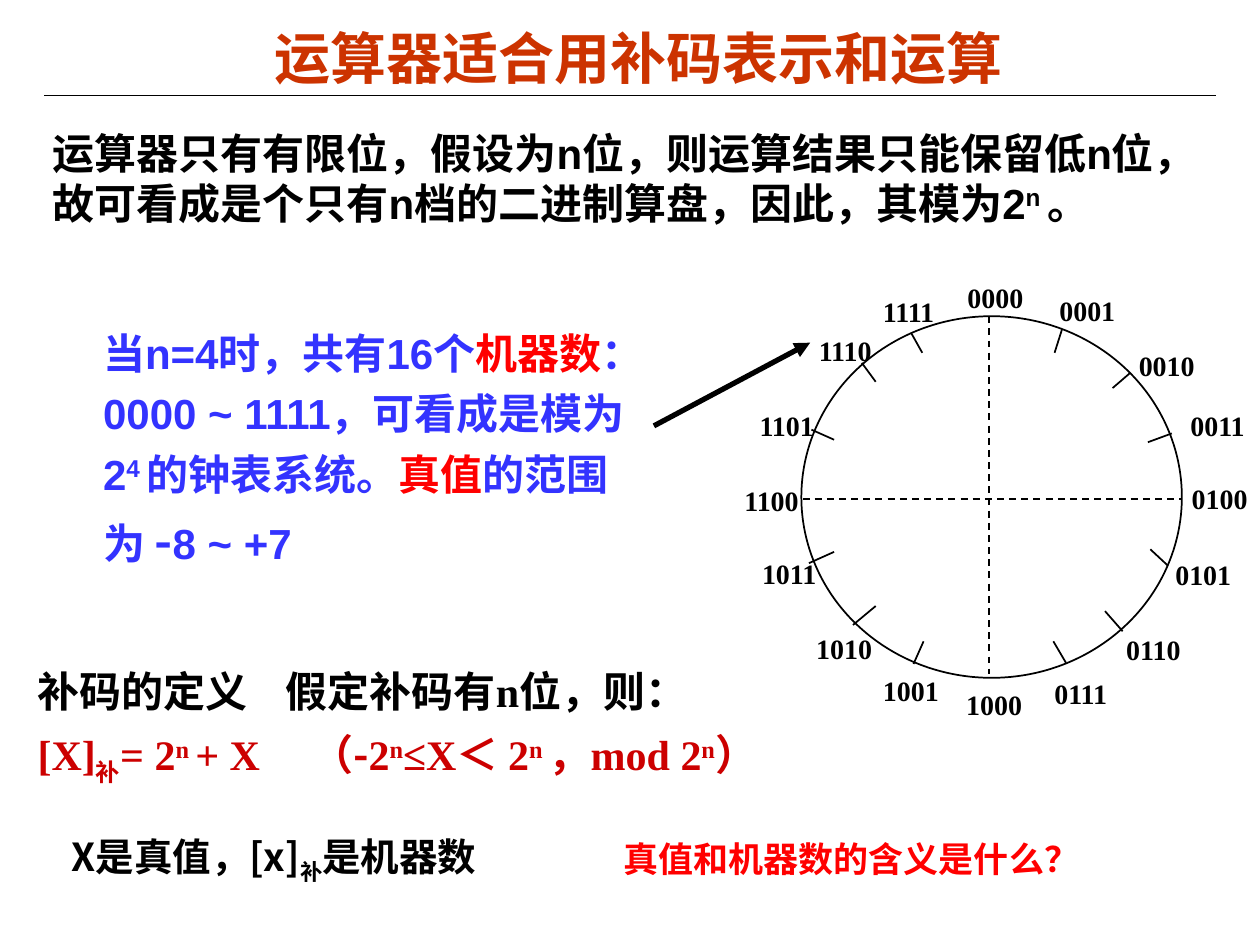
"""Build the slide on two's complement numbers in an arithmetic unit."""
from dataclasses import dataclass
from typing import Optional

from lxml import etree
from pptx import Presentation
from pptx.dml.color import RGBColor
from pptx.enum.dml import MSO_LINE
from pptx.enum.shapes import MSO_CONNECTOR, MSO_SHAPE
from pptx.enum.text import MSO_ANCHOR, MSO_AUTO_SIZE, PP_ALIGN
from pptx.oxml.ns import qn
from pptx.util import Inches, Pt

STRAIGHT = MSO_CONNECTOR.STRAIGHT
ELLIPSE = MSO_SHAPE.OVAL
DASH = MSO_LINE.DASH
CENTER = PP_ALIGN.CENTER
MIDDLE = MSO_ANCHOR.MIDDLE
GROW = MSO_AUTO_SIZE.SHAPE_TO_FIT_TEXT
SUPER, SUB = 30, -25

SLIDE_W, SLIDE_H = Inches(10), Inches(7.5)
COLUMNS, ROWS = 100, 75
LABEL_W, LABEL_H = 6.4, 3.7


@dataclass(frozen=True)
class Theme:
    sans: str = "Arial"
    serif: str = "Times New Roman"
    cjk: str = "Noto Sans CJK SC"
    ink: str = "000000"
    title: str = "CC3300"
    blue: str = "3333FF"
    red: str = "FF0000"
    formula: str = "CC0000"
    title_size: float = 32
    minus_size: float = 28
    body_size: float = 24
    note_size: float = 22
    question_size: float = 20
    label_size: float = 16
    hairline: float = 0.75
    thin: float = 1
    thick: float = 3


THEME = Theme()


@dataclass(frozen=True)
class Style:
    font: str
    size: float
    color: str


@dataclass(frozen=True)
class Run:
    text: str
    baseline: int = 0
    color: Optional[str] = None
    font: Optional[str] = None
    size: Optional[float] = None


@dataclass(frozen=True)
class Paragraph:
    runs: tuple[Run, ...]
    style: Style
    before: float = 0
    spacing: Optional[float] = None
    tab: Optional[float] = None


@dataclass(frozen=True)
class Box:
    left: float
    top: float
    width: float
    height: float


@dataclass(frozen=True)
class Line:
    x1: float
    y1: float
    x2: float
    y2: float


@dataclass(frozen=True)
class DialMark:
    left: float
    top: float
    tick: Optional[Line] = None


DIAL = Box(63.6, 25.1, 30.2, 28.7)
DIAL_AXES = (Line(63.7, 39.6, 93.8, 39.6), Line(78.5, 25.1, 78.5, 53.5))
DIAL_MARKS = (
    DialMark(75.8, 21.8),
    DialMark(83.1, 22.8, Line(83.7, 28, 84.3, 26.1)),
    DialMark(89.4, 27.2, Line(88.3, 30.8, 89.7, 29.6)),
    DialMark(93.5, 31.9, Line(91.1, 35.1, 93, 34.4)),
    DialMark(93.6, 37.7),
    DialMark(92.3, 43.8, Line(91.3, 43.6, 92.7, 44.9)),
    DialMark(88.4, 49.7, Line(87.7, 48.5, 89.1, 50.1)),
    DialMark(82.7, 53.2, Line(83.6, 50.9, 84.6, 52.6)),
    DialMark(75.7, 54.1),
    DialMark(69.1, 53, Line(72.5, 52.7, 73.3, 50.9)),
    DialMark(63.8, 49.6, Line(69.5, 48.1, 67.7, 49.6)),
    DialMark(59.5, 43.7, Line(66.2, 43.8, 64.2, 44.7)),
    DialMark(58.1, 37.9),
    DialMark(59.3, 31.9, Line(66.2, 34.9, 64.4, 34.1)),
    DialMark(64, 26, Line(68.4, 28.8, 69.5, 30.3)),
    DialMark(69.1, 22.9, Line(72.3, 26.4, 73.2, 28)),
)

HEADING = Paragraph((Run("运算器适合用补码表示和运算"),),
                    Style(THEME.sans, THEME.title_size, THEME.title))
INTRO = Paragraph((
    Run("运算器只有有限位，假设为n位，则运算结果只能保留低n位，"
        "故可看成是个只有n档的二进制算盘，因此，其模为2"),
    Run("n ", SUPER), Run("。"),
), Style(THEME.sans, THEME.body_size, THEME.ink))
EXAMPLE = Paragraph((
    Run("当n=4时，共有16个"), Run("机器数", color=THEME.red),
    Run("：0000 ~ 1111，可看成是模为2"), Run("4 ", SUPER), Run("的钟表系统。"),
    Run("真值", color=THEME.red), Run("的范围为 "),
    Run("-", font=THEME.cjk, size=THEME.minus_size), Run("8 ~ +7"),
), Style(THEME.sans, THEME.body_size, THEME.blue), spacing=1.2)
DEFINITION = Paragraph((Run("补码的定义\t假定补码有n位，则："),),
                       Style(THEME.serif, THEME.body_size, THEME.ink), tab=1.97)
FORMULA = Paragraph((
    Run("[X]"), Run("补", SUB), Run("= 2"), Run("n ", SUPER), Run("+ X\t（"),
    Run("-", font=THEME.cjk), Run("2"), Run("n", SUPER), Run("≤X＜ 2"),
    Run("n ", SUPER), Run("，mod 2"), Run("n", SUPER), Run("）"),
), Style(THEME.serif, THEME.body_size, THEME.formula), before=7.5, tab=2.17)
NOTE = Paragraph((Run("X是真值，[x]"), Run("补", SUB), Run("是机器数")),
                 Style(THEME.cjk, THEME.note_size, THEME.ink))
QUESTION = Paragraph((Run("真值和机器数的含义是什么？"),),
                     Style(THEME.sans, THEME.question_size, THEME.red))


def col(value: float) -> int:
    return round(SLIDE_W * value / COLUMNS)


def row(value: float) -> int:
    return round(SLIDE_H * value / ROWS)


def place(box: Box) -> tuple[int, int, int, int]:
    return col(box.left), row(box.top), col(box.width), row(box.height)


def write_run(target, run: Run, style: Style) -> None:
    part = target.add_run()
    part.text = run.text
    part.font.name = run.font or style.font
    part.font.size = Pt(run.size or style.size)
    part.font.bold = True
    part.font.color.rgb = RGBColor.from_string(run.color or style.color)
    properties = part._r.get_or_add_rPr()
    etree.SubElement(properties, qn("a:ea"), typeface=THEME.cjk)
    if run.baseline:
        properties.set("baseline", str(run.baseline * 1000))


def write(frame, paragraphs: tuple[Paragraph, ...]) -> None:
    for index, content in enumerate(paragraphs):
        target = frame.add_paragraph() if index else frame.paragraphs[0]
        properties = target._p.get_or_add_pPr()
        properties.set("hangingPunct", "0")
        if content.tab:
            tabs = etree.SubElement(properties, qn("a:tabLst"))
            etree.SubElement(tabs, qn("a:tab"), pos=str(Inches(content.tab)), algn="l")
        target.space_before = Pt(content.before)
        if content.spacing:
            target.line_spacing = content.spacing
        for run in content.runs:
            write_run(target, run, content.style)


def add_text(slide, box: Box, *paragraphs: Paragraph, wrap: bool = True) -> None:
    frame = slide.shapes.add_textbox(*place(box)).text_frame
    frame.word_wrap = wrap
    frame.auto_size = GROW
    write(frame, paragraphs)


def add_line(slide, line: Line, width: float, dashed: bool = False,
             arrow: bool = False) -> None:
    stroke = slide.shapes.add_connector(
        STRAIGHT, col(line.x1), row(line.y1), col(line.x2), row(line.y2))
    stroke.line.color.rgb = RGBColor.from_string(THEME.ink)
    stroke.line.width = Pt(width)
    if dashed:
        stroke.line.dash_style = DASH
    if arrow:
        etree.SubElement(stroke.line._get_or_add_ln(), qn("a:tailEnd"), type="triangle")
    etree.SubElement(stroke._element.spPr, qn("a:effectLst"))


def add_title(slide) -> None:
    title = slide.shapes.title
    title.left, title.top, title.width, title.height = place(Box(5.3, 1.6, 90.8, 5.9))
    frame = title.text_frame
    frame.margin_left = frame.margin_right = Inches(0.07)
    frame.margin_top = frame.margin_bottom = Inches(0.03)
    frame.vertical_anchor = MIDDLE
    frame.auto_size = GROW
    write(frame, (HEADING,))
    frame.paragraphs[0].alignment = CENTER
    add_line(slide, Line(3.5, 7.6, 96.5, 7.6), THEME.hairline)


def add_dial(slide) -> None:
    dial = slide.shapes.add_shape(ELLIPSE, *place(DIAL))
    dial.shadow.inherit = False
    dial.fill.background()
    dial.line.color.rgb = RGBColor.from_string(THEME.ink)
    dial.line.width = Pt(THEME.thin)
    for axis in DIAL_AXES:
        add_line(slide, axis, THEME.thin, dashed=True)
    style = Style(THEME.serif, THEME.label_size, THEME.ink)
    for number, mark in enumerate(DIAL_MARKS):
        if mark.tick:
            add_line(slide, mark.tick, THEME.thin)
        code = Paragraph((Run(f"{number:04b}"),), style)
        add_text(slide, Box(mark.left, mark.top, LABEL_W, LABEL_H), code, wrap=False)


def main() -> None:
    deck = Presentation()
    deck.slide_width, deck.slide_height = SLIDE_W, SLIDE_H
    slide = deck.slides.add_slide(deck.slide_layouts.get_by_name("Title Only"))
    add_title(slide)
    add_dial(slide)
    add_text(slide, Box(3.2, 9.6, 94.6, 9), INTRO)
    add_text(slide, Box(7.2, 24.7, 46.3, 21), EXAMPLE)
    add_line(slide, Line(51.9, 33.8, 64.3, 27.2), THEME.thick, arrow=True)
    add_text(slide, Box(2, 52.3, 79.5, 10.6), DEFINITION, FORMULA)
    add_text(slide, Box(4.7, 65.6, 35.9, 8.9), NOTE)
    add_text(slide, Box(48.5, 66, 46.3, 4.4), QUESTION)
    deck.save("out.pptx")


if __name__ == "__main__":
    main()
